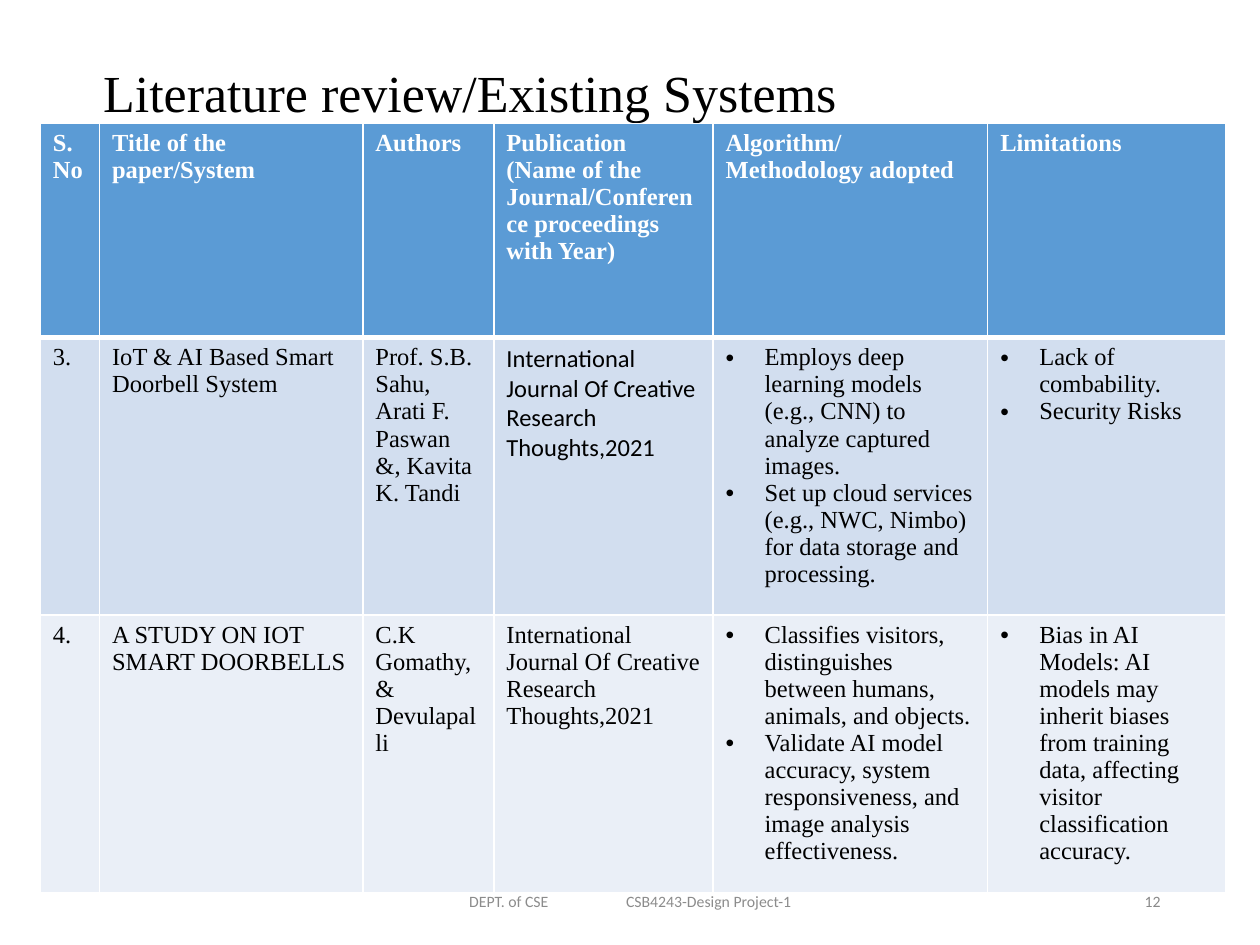
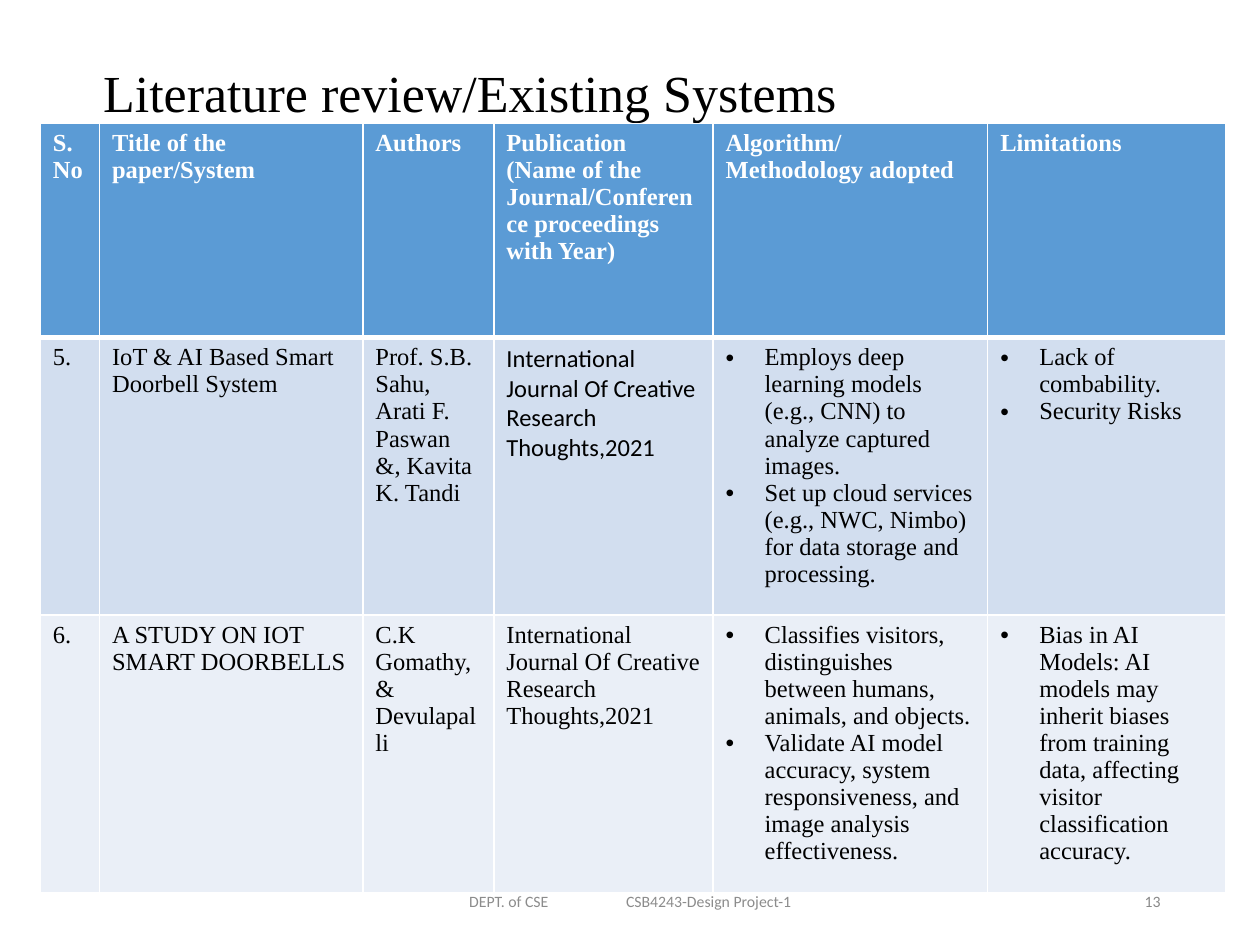
"""Build the two literature review slides."""
from pptx import Presentation
from pptx import oxml
from pptx import util as u
from pptx.dml import color
from pptx.enum import text
from pptx.oxml import ns

COLORS = {
    "ink": "000000", "white": "FFFFFF", "header": "5B9BD5",
    "band_dark": "D2DEEF", "band_light": "EAEFF7",
    "footer": "8C8C8C", "number": "898989",
}
SERIF, SANS = "Times New Roman", "Calibri"
COLUMN_WIDTHS = [0.47, 2.09, 1.04, 1.74, 2.18, 1.89]
ROW_HEIGHTS = [1.7, 2.03, 2.03]
HEADINGS = [
    "S.No", "Title of the paper/System", "Authors",
    "Publication (Name of the Journal/Conference proceedings with Year)",
    "Algorithm/Methodology adopted", "Limitations",
]
JOURNAL = "International Journal Of Creative Research Thoughts,2021"
PAPERS = [
    ["IoT & AI Based Smart Doorbell System",
     "Prof. S.B. Sahu, Arati F. Paswan &, Kavita K. Tandi", JOURNAL,
     ["Employs deep learning models (e.g., CNN) to analyze captured images.",
      "Set up cloud services (e.g., NWC, Nimbo) for data storage and processing."],
     ["Lack of combability.", "Security Risks"]],
    ["A STUDY ON IOT SMART DOORBELLS",
     "C.K Gomathy, & Devulapalli", JOURNAL,
     ["Classifies visitors, distinguishes between humans, animals, and objects.",
      "Validate AI model accuracy, system responsiveness, and image analysis effectiveness."],
     ["Bias in AI Models: AI models may inherit biases from training data, "
      "affecting visitor classification accuracy."]],
]


class ReviewDeck:
    """Hold the deck style and the current page."""

    def __init__(self):
        self.deck = Presentation()
        self.deck.slide_width = u.Inches(10)
        self.deck.slide_height = u.Inches(7.5)
        self.page = None

    def add_page(self):
        self.page = self.deck.slides.add_slide(self.deck.slide_layouts[6])

    def add_span(self, para, words, size, font, ink, bold=False):
        span = para.add_run()
        span.text = words
        span.font.size = u.Pt(size)
        span.font.name = font
        span.font.bold = bold
        span.font.color.rgb = color.RGBColor.from_string(COLORS[ink])

    def add_text(self, words, place, size, font, ink, align="LEFT", spacing=1.0):
        box = self.page.shapes.add_textbox(*map(u.Inches, place))
        frame = box.text_frame
        frame.word_wrap = True
        frame.vertical_anchor = text.MSO_ANCHOR.MIDDLE
        para = frame.paragraphs[0]
        para.alignment = text.PP_ALIGN[align]
        para.line_spacing = spacing
        self.add_span(para, words, size, font, ink)

    def add_title(self, words):
        self.add_text(words, (0.72, 0.03, 8.62, 1.45), 29.7, SERIF, "ink", spacing=0.9)

    def add_footer(self, number):
        self.add_text("DEPT. of CSE", (3.31, 6.95, 1.14, 0.4), 9, SANS, "footer", "RIGHT")
        self.add_text("CSB4243-Design Project-1", (4.87, 6.95, 1.82, 0.4), 9, SANS, "footer")
        self.add_text(str(number), (7.06, 6.95, 2.25, 0.4), 9, SANS, "number", "RIGHT")

    def add_bullet(self, para):
        props = para._p.get_or_add_pPr()
        props.set("marL", str(u.Inches(0.31)))
        props.set("indent", str(u.Inches(-0.31)))
        for mark in ('buFont {} typeface="Arial"', 'buChar {} char="•"'):
            props.append(oxml.parse_xml(f"<a:{mark.format(ns.nsdecls('a'))}/>"))

    def add_borders(self, cell, top, bottom):
        props = cell._tc.get_or_add_tcPr()
        for side, width in (("L", 1), ("R", 1), ("T", top), ("B", bottom)):
            props.append(oxml.parse_xml(
                f'<a:ln{side} {ns.nsdecls("a")} w="{u.Pt(width)}"><a:solidFill>'
                f'<a:srgbClr val="{COLORS["white"]}"/></a:solidFill></a:ln{side}>'))

    def fill_cell(self, cell, content, band, ink, font, bold, top, bottom):
        self.add_borders(cell, top, bottom)
        cell.fill.solid()
        cell.fill.fore_color.rgb = color.RGBColor.from_string(COLORS[band])
        bulleted = isinstance(content, list)
        frame = cell.text_frame
        for index, words in enumerate(content if bulleted else [content]):
            para = frame.add_paragraph() if index else frame.paragraphs[0]
            if bulleted:
                self.add_bullet(para)
            self.add_span(para, words, 14, font, ink, bold)

    def add_review_table(self, rows):
        place = (0.32, 0.98, sum(COLUMN_WIDTHS), sum(ROW_HEIGHTS))
        table = self.page.shapes.add_table(
            len(rows), len(HEADINGS), *map(u.Inches, place)).table
        table.horz_banding = False
        for column, width in zip(table.columns, COLUMN_WIDTHS):
            column.width = u.Inches(width)
        bands = ["header", "band_dark", "band_light"]
        for r, (contents, height, band) in enumerate(zip(rows, ROW_HEIGHTS, bands)):
            table.rows[r].height = u.Inches(height)
            heading = r == 0
            for c, content in enumerate(contents):
                font = SANS if (r, c) == (1, 3) else SERIF
                self.fill_cell(table.cell(r, c), content, band,
                               "white" if heading else "ink", font, heading,
                               3 if r == 1 else 1, 3 if heading else 1)


def main():
    review = ReviewDeck()
    for page_number, first_paper in ((12, 3), (13, 5)):
        review.add_page()
        review.add_title("Literature review/Existing Systems")
        review.add_footer(page_number)
        papers = [[f"{n}.", *paper] for n, paper in enumerate(PAPERS, first_paper)]
        review.add_review_table([HEADINGS, *papers])
    review.deck.save("out.pptx")


if __name__ == "__main__":
    main()
